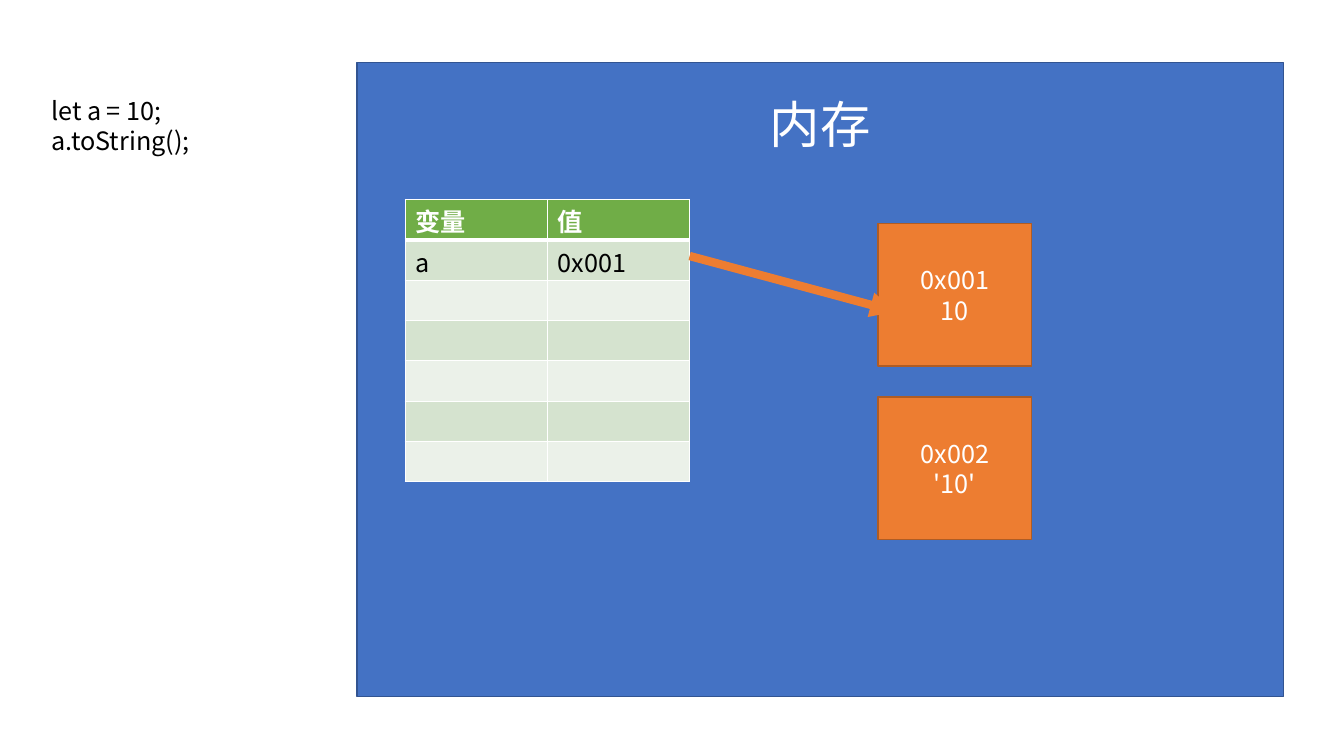
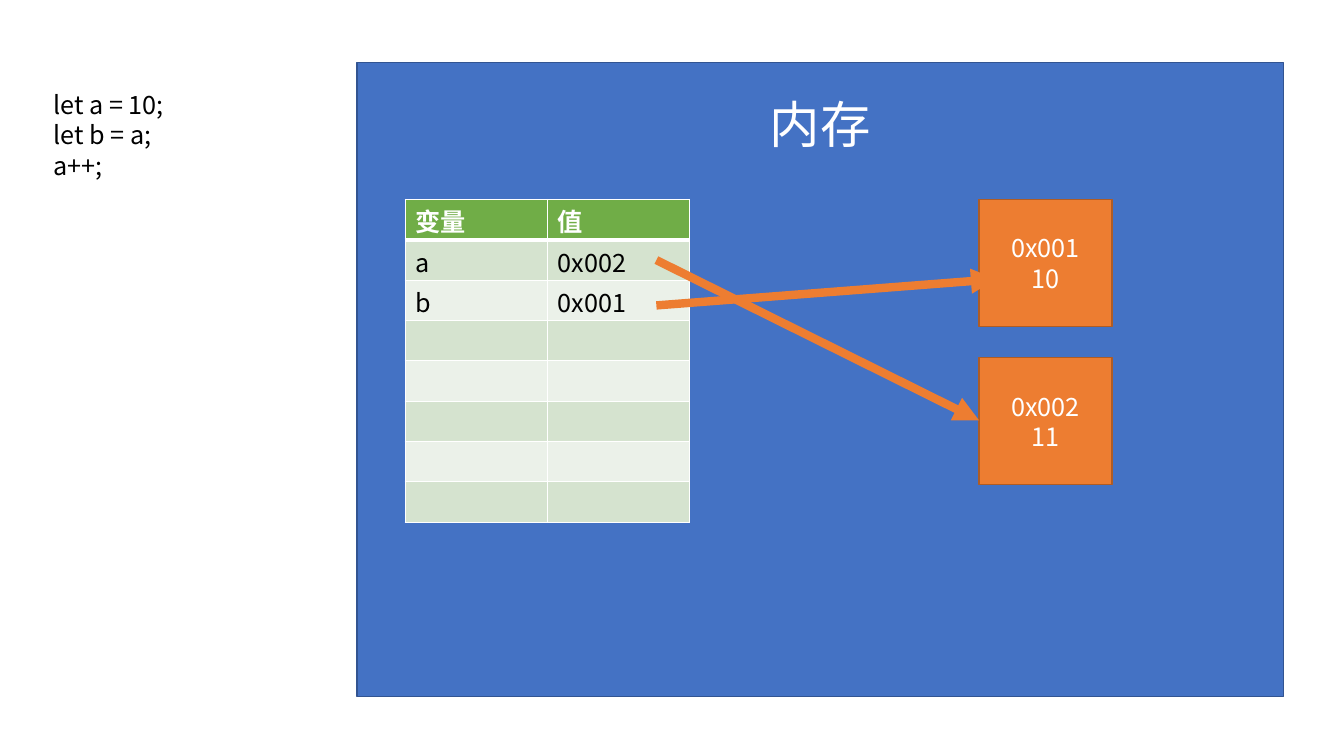
from lxml import etree
from pptx import Presentation
from pptx.dml.color import RGBColor
from pptx.enum.shapes import MSO_CONNECTOR, MSO_SHAPE
from pptx.enum.text import MSO_ANCHOR, MSO_AUTO_SIZE, PP_ALIGN
from pptx.oxml.ns import qn
from pptx.util import Inches, Pt

STRAIGHT = MSO_CONNECTOR.STRAIGHT
RECTANGLE = MSO_SHAPE.RECTANGLE
TOP, MIDDLE = MSO_ANCHOR.TOP, MSO_ANCHOR.MIDDLE
NO_RESIZE = MSO_AUTO_SIZE.NONE
LEFT, CENTER = PP_ALIGN.LEFT, PP_ALIGN.CENTER

FONT = "Noto Sans CJK SC"
LINE_HEIGHT = 1.21
WHITE, BLACK = "FFFFFF", "000000"
BLUE, DARK_BLUE = "4472C4", "325491"
ORANGE, DARK_ORANGE = "ED7D31", "AF5C24"
GREEN = "70AD47"
BANDS = ("D5E3CF", "EBF1E9")

TITLE_ONLY = 5
PANEL = (3.54, 0.62, 9.19, 6.29)
TABLE_OFFSET = (0.48, 1.36)
COLUMN_WIDTH, ROW_HEIGHT = 1.41, 0.4
HEADER = ("变量", "值")


def color(value):
    return RGBColor.from_string(value)


def inches(values):
    return [Inches(value) for value in values]


def write(frame, text, size=18, ink=BLACK, bold=False, align=LEFT, anchor=TOP):
    frame.word_wrap = True
    frame.vertical_anchor = anchor
    for index, line in enumerate(text.split("\n")):
        para = frame.add_paragraph() if index else frame.paragraphs[0]
        para.alignment = align
        para.line_spacing = Pt(size * LINE_HEIGHT)
        if not line:
            continue
        span = para.add_run()
        span.text = line
        span.font.name = FONT
        span.font.size = Pt(size)
        span.font.bold = bold
        span.font.color.rgb = color(ink)
        east_asian = etree.SubElement(span.font._element, qn("a:ea"))
        east_asian.set("typeface", FONT)


def paint(shape, fill, outline):
    shape.fill.solid()
    shape.fill.fore_color.rgb = color(fill)
    shape.line.color.rgb = color(outline)
    shape.line.width = Pt(1)


def add_memory_panel(slide, box):
    panel = slide.shapes.title
    panel.left, panel.top, panel.width, panel.height = inches(box)
    paint(panel, BLUE, DARK_BLUE)
    frame = panel.text_frame
    frame.auto_size = NO_RESIZE
    frame.margin_top = Inches(0.3)
    write(frame, "内存", size=36, ink=WHITE, align=CENTER)


def add_code(slide, box, code):
    frame = slide.shapes.add_textbox(*inches(box)).text_frame
    frame.margin_top = Inches(0.06)
    write(frame, code)


def add_border(cell, side, width):
    border = etree.SubElement(cell._tc.get_or_add_tcPr(), qn(f"a:ln{side}"))
    border.set("w", str(Pt(width)))
    fill = etree.SubElement(border, qn("a:solidFill"))
    etree.SubElement(fill, qn("a:srgbClr")).set("val", WHITE)


def add_variables(slide, left, top, variables, row_count):
    box = (left, top, COLUMN_WIDTH * len(HEADER), ROW_HEIGHT * row_count)
    table = slide.shapes.add_table(row_count, len(HEADER), *inches(box)).table
    blank_rows = [("", "")] * (row_count - 1 - len(variables))
    for row, values in enumerate([HEADER, *variables, *blank_rows]):
        is_header = row == 0
        table.rows[row].height = Inches(ROW_HEIGHT)
        for column, value in enumerate(values):
            cell = table.cell(row, column)
            cell.margin_top, cell.margin_bottom = Inches(0.09), 0
            for side in "LRTB":
                heavy = (is_header and side == "B") or (row == 1 and side == "T")
                add_border(cell, side, 3 if heavy else 1)
            cell.fill.solid()
            cell.fill.fore_color.rgb = color(GREEN if is_header else BANDS[(row - 1) % 2])
            write(cell.text_frame, value, ink=WHITE if is_header else BLACK, bold=is_header)


def add_values(slide, box, step, values):
    left, top, width, height = box
    for index, value in enumerate(values):
        place = inches((left, top + index * step, width, height))
        square = slide.shapes.add_shape(RECTANGLE, *place)
        square.shadow.inherit = False
        paint(square, ORANGE, DARK_ORANGE)
        write(square.text_frame, value, ink=WHITE, align=CENTER, anchor=MIDDLE)


def add_arrow(slide, start, end):
    arrow = slide.shapes.add_connector(STRAIGHT, *inches((*start, *end)))
    arrow.line.color.rgb = color(ORANGE)
    arrow.line.width = Pt(6)
    etree.SubElement(arrow.line._get_or_add_ln(), qn("a:tailEnd")).set("type", "triangle")
    etree.SubElement(arrow._element.spPr, qn("a:effectLst"))


def add_memory_slide(deck, code, code_box, variables, row_count, values, value_box, step, arrows):
    slide = deck.slides.add_slide(deck.slide_layouts[TITLE_ONLY])
    add_memory_panel(slide, PANEL)
    add_code(slide, code_box, code)
    table_left, table_top = PANEL[0] + TABLE_OFFSET[0], PANEL[1] + TABLE_OFFSET[1]
    add_variables(slide, table_left, table_top, variables, row_count)
    add_values(slide, value_box, step, values)
    for start, end in arrows:
        add_arrow(slide, start, end)


deck = Presentation()
deck.slide_width, deck.slide_height = inches((13.33, 7.5))
add_memory_slide(
    deck,
    code="let a = 10;\na.toString();",
    code_box=(0.41, 0.88, 2.74, 0.71),
    variables=[("a", "0x001")],
    row_count=7,
    values=["0x001\n10", "0x002\n'10'"],
    value_box=(8.71, 2.22, 1.52, 1.41),
    step=1.72,
    arrows=[((6.84, 2.54), (8.88, 3.09))],
)
add_memory_slide(
    deck,
    code="let a = 10;\nlet b = a;\na++;",
    code_box=(0.43, 0.82, 2.74, 1.01),
    variables=[("a", "0x002"), ("b", "0x001")],
    row_count=8,
    values=["0x001\n10", "0x002\n11"],
    value_box=(9.71, 1.98, 1.32, 1.26),
    step=1.57,
    arrows=[((6.51, 2.58), (9.71, 4.17)), ((6.51, 3.03), (9.88, 2.77))],
)
deck.save("out.pptx")
